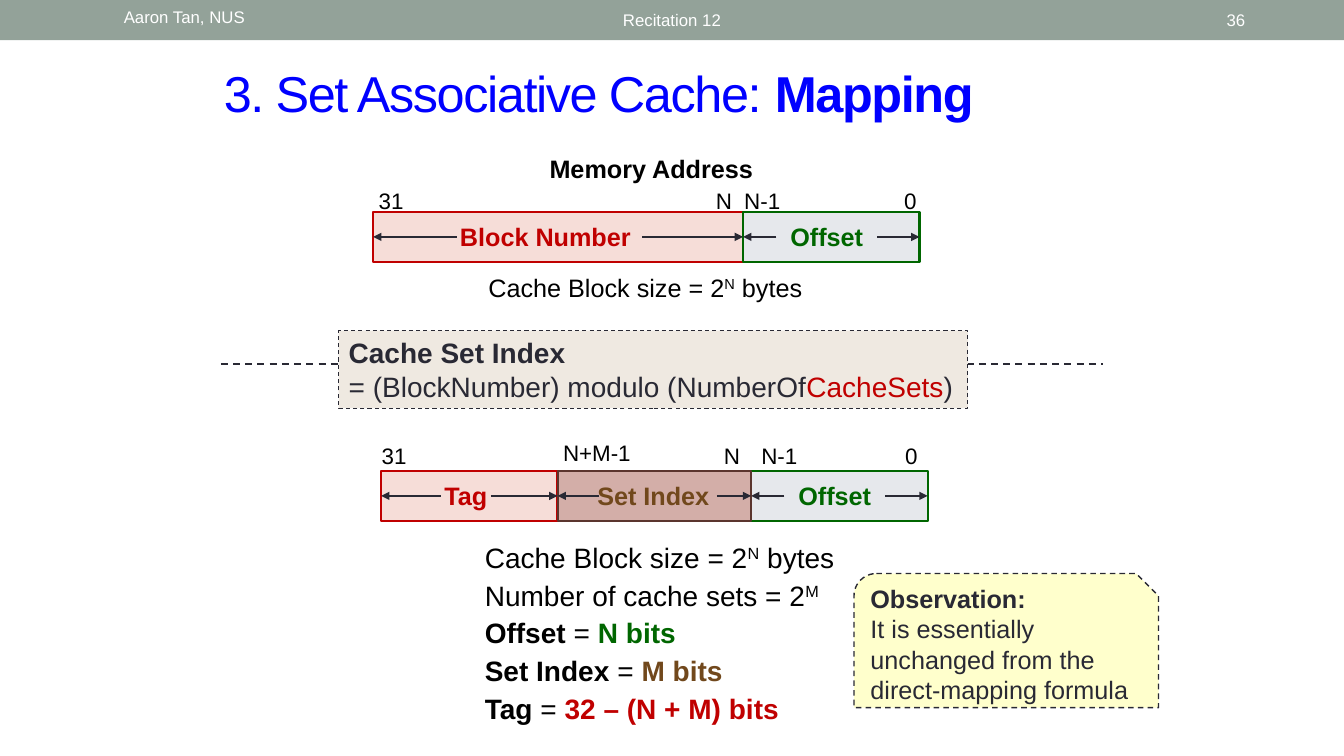
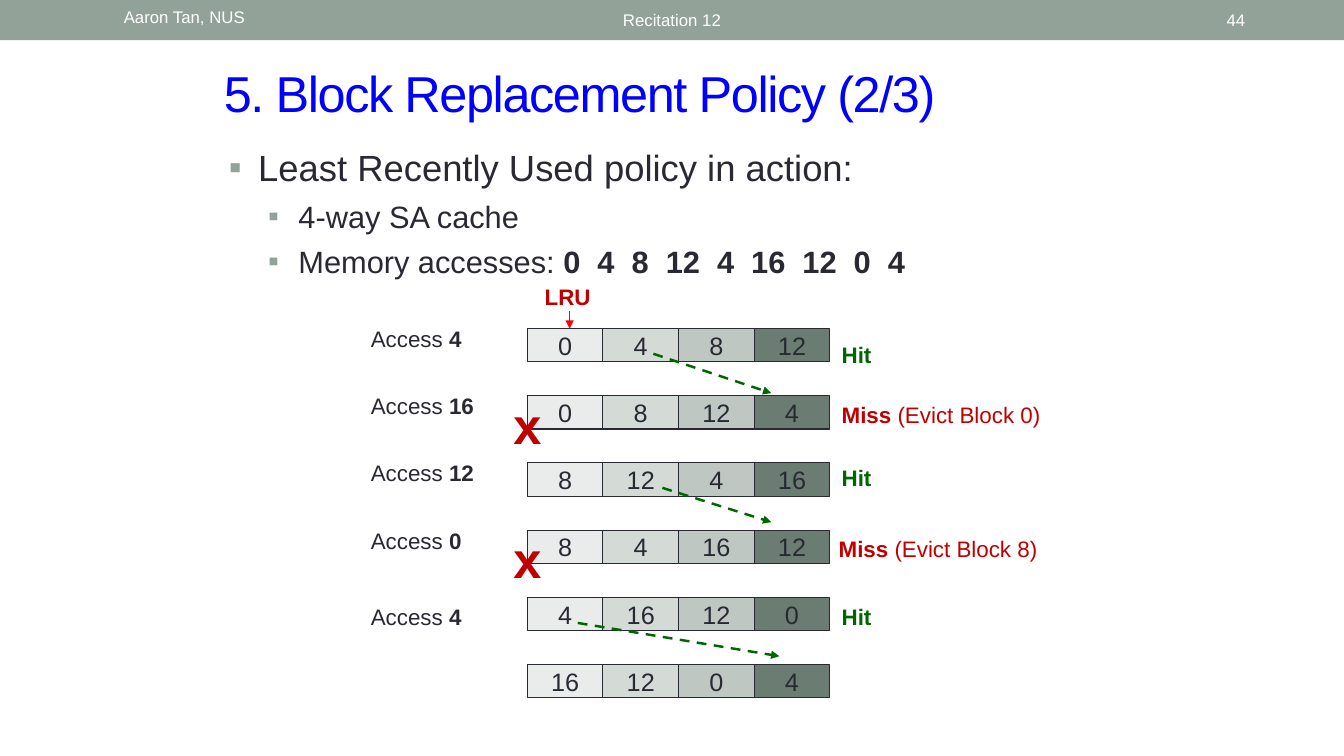
from lxml import etree
from pptx import Presentation
from pptx.dml.color import RGBColor
from pptx.enum.dml import MSO_LINE
from pptx.enum.shapes import MSO_CONNECTOR, MSO_SHAPE
from pptx.enum.text import MSO_ANCHOR, MSO_AUTO_SIZE, PP_ALIGN
from pptx.oxml.ns import qn
from pptx.util import Inches, Pt

LEFT, MID, RIGHT = PP_ALIGN.LEFT, PP_ALIGN.CENTER, PP_ALIGN.RIGHT
TOP, CORE = MSO_ANCHOR.TOP, MSO_ANCHOR.MIDDLE
RECT, SNIP = MSO_SHAPE.RECTANGLE, MSO_SHAPE.SNIP_ROUND_RECTANGLE
STRAIGHT, DASH, FIXED = MSO_CONNECTOR.STRAIGHT, MSO_LINE.DASH, MSO_AUTO_SIZE.NONE

HUES = {
    "band": "93A299", "title": "0000FF", "ink": "292934", "black": "000000",
    "white": "FFFFFF", "red": "C00000", "green": "006600", "brown": "71481C",
    "edge": "5B352E", "pink": "F6DDD8", "grey": "E6E8EC", "clay": "D3AEA8",
    "sand": "EFE9E1", "note": "FFFFCC", "arrow": "FF0000",
}
HUES = {name: RGBColor.from_string(code) for name, code in HUES.items()}
SHADES = [RGBColor.from_string(code) for code in ("E9ECEB", "D4DAD6", "BEC7C2", "6B7D72")]


def write(item, paras, size, hue="black", align=LEFT, anchor=TOP, bold=None, gap=0):
    frame = item.text_frame
    frame.auto_size = FIXED
    frame.word_wrap = align != MID
    frame.vertical_anchor = anchor
    for i, runs in enumerate(paras):
        para = frame.paragraphs[0] if i == 0 else frame.add_paragraph()
        para.alignment = align
        if i and gap:
            para.space_before = Pt(gap)
        para.font.name = "Arial"
        para.font.size = Pt(size)
        para.font.color.rgb = HUES[hue]
        para.font.bold = bold
        for text, *marks in runs:
            run = para.add_run()
            run.text = text
            for mark in marks:
                if mark == "bold":
                    run.font.bold = True
                elif mark == "super":
                    run.font._element.set("baseline", "30000")
                else:
                    run.font.color.rgb = HUES[mark]
    return item


def draw(slide, start, end, hue="ink", width=1, dash=None, arrow=True):
    line = slide.shapes.add_connector(STRAIGHT, *map(Inches, start + end))
    line.line.color.rgb = HUES[hue]
    line.line.width = Pt(width)
    line.line.dash_style = dash
    props = line.element.spPr
    if arrow:
        etree.SubElement(props.find(qn("a:ln")), qn("a:tailEnd"), type="triangle")
    etree.SubElement(props, qn("a:effectLst"))


prs = Presentation()
prs.slide_width = Inches(13.33)
prs.slide_height = Inches(7.5)

HEADS = [
    (5, "36", [("3. Set Associative Cache: ",), ("Mapping", "bold")]),
    (1, "44", [("5. Block Replacement Policy (2/3)",)]),
]
for layout, number, head in HEADS:
    slide = prs.slides.add_slide(prs.slide_layouts[layout])
    band = slide.shapes.add_shape(RECT, 0, 0, prs.slide_width, Inches(0.4))
    band.shadow.inherit = False
    band.fill.solid()
    band.fill.fore_color.rgb = HUES["band"]
    band.line.fill.background()

    title = slide.shapes.title
    title.left, title.top, title.width, title.height = map(Inches, (2.12, 0.57, 9.21, 0.7))
    write(title, [head], 36, "title", anchor=CORE)
    for run in title.text_frame.paragraphs[0].runs:
        run.font._element.set("spc", "-100")

    for left, width, text, align, anchor in [
        (1.13, 3.17, "Aaron Tan, NUS", LEFT, TOP),
        (3.02, 7.29, "Recitation 12", MID, CORE),
        (11.5, 0.95, number, RIGHT, CORE),
    ]:
        box = slide.shapes.add_textbox(*map(Inches, (left, 0.02, width, 0.36)))
        write(box, [[(text,)]], 12, "white", align, anchor)

cache, policy = prs.slides

BARS = [
    (2.1,
     [(3.88, 1.81, "31"), (7.18, 1.81, "N"), (7.56, 1.81, "N-1"), (9.03, 1.81, "0")],
     [(3.7, 7.37, 4.53, 6.37, 5.41, "Block Number", "pink", "red", "red"),
      (7.37, 9.12, 7.7, 8.7, 8.2, "Offset", "grey", "green", "green")]),
    (4.67,
     [(3.91, 4.34, "31"), (5.92, 4.31, "N+M-1"), (7.26, 4.34, "N"),
      (7.73, 4.34, "N-1"), (9.04, 4.34, "0")],
     [(3.78, 5.53, 4.37, 4.87, 4.62, "Tag", "pink", "red", "red"),
      (7.45, 9.2, 7.78, 8.78, 8.28, "Offset", "grey", "green", "green"),
      (5.53, 7.45, 5.94, 7.11, 6.48, "Set Index", "clay", "edge", "brown")]),
]
for top, ticks, fields in BARS:
    for mid, high, text in ticks:
        box = cache.shapes.add_textbox(*map(Inches, (mid - 0.45, high, 0.9, 0.37)))
        write(box, [[(text,)]], 16, align=MID)
    for left, right, near, far, mid, text, fill, edge, hue in fields:
        field = cache.shapes.add_shape(RECT, *map(Inches, (left, top, right - left, 0.5)))
        field.shadow.inherit = False
        field.fill.solid()
        field.fill.fore_color.rgb = HUES[fill]
        field.line.color.rgb = HUES[edge]
        field.line.width = Pt(1.5)
        draw(cache, (near, top + 0.25), (left, top + 0.25))
        draw(cache, (far, top + 0.25), (right, top + 0.25))
        box = cache.shapes.add_textbox(*map(Inches, (mid - 1, top + 0.05, 2, 0.4)))
        write(box, [[(text,)]], 18, hue, MID, bold=True)

block = [("Cache Block size = 2",), ("N", "super"), (" bytes",)]
box = cache.shapes.add_textbox(*map(Inches, (5.34, 1.47, 2.24, 0.4)))
write(box, [[("Memory Address",)]], 18, align=MID, bold=True)
box = cache.shapes.add_textbox(*map(Inches, (3.94, 2.65, 4.92, 0.4)))
write(box, [block], 18, align=MID)
box = cache.shapes.add_textbox(*map(Inches, (4.71, 5.31, 3.75, 1.92)))
write(box, [
    block,
    [("Number of cache sets = 2",), ("M", "super")],
    [("Offset", "bold"), (" = ",), ("N bits", "bold", "green")],
    [("Set Index", "bold"), (" = ",), ("M bits", "bold", "brown")],
    [("Tag", "bold"), (" = ",), ("32 – (N + M) bits", "bold", "red")],
], 20, gap=3)

draw(cache, (2.19, 3.61), (10.94, 3.61), width=1.25, dash=DASH, arrow=False)
CARDS = [
    (RECT, (3.36, 3.28, 6.24, 0.77), "sand", 0.75, 20, TOP, [
        [("Cache Set Index", "bold")],
        [("= (BlockNumber) modulo (NumberOf",), ("CacheSets", "red"), (")",)]]),
    (SNIP, (8.47, 5.69, 3.02, 1.33), "note", 1, 18, CORE, [
        [("Observation:", "bold")],
        [("It is essentially unchanged from the direct-mapping formula",)]]),
]
for kind, place, fill, width, size, anchor, paras in CARDS:
    card = cache.shapes.add_shape(kind, *map(Inches, place))
    card.shadow.inherit = False
    card.fill.solid()
    card.fill.fore_color.rgb = HUES[fill]
    card.line.color.rgb = HUES["ink"]
    card.line.width = Pt(width)
    card.line.dash_style = DASH
    write(card, paras, size, "ink", anchor=anchor)

body = policy.placeholders[1]
body.left, body.top, body.width, body.height = map(Inches, (2.17, 1.39, 8.42, 1.64))
ITEMS = [
    (0, 26, 0.29, 0.29, [("Least Recently Used policy in action:",)]),
    (1, 22, 0.69, 0.3, [("4-way SA cache",)]),
    (1, 22, 0.69, 0.3, [("Memory accesses: ",), ("0  4  8  12  4  16  12  0  4", "bold")]),
]
write(body, [item[-1] for item in ITEMS], 22, "ink")
for i, (level, size, margin, hang, runs) in enumerate(ITEMS):
    para = body.text_frame.paragraphs[i]
    para.level = level
    props = para._p.get_or_add_pPr()
    props.set("marL", str(Inches(margin)))
    props.set("indent", str(-Inches(hang)))
    tint = etree.Element(qn("a:buClr"))
    etree.SubElement(tint, qn("a:srgbClr"), val=str(HUES["band"]))
    face = etree.Element(qn("a:buFont"), typeface="Arial")
    mark = etree.Element(qn("a:buChar"), char="▪")
    for spot, part in enumerate((tint, face, mark)):
        props.insert(spot, part)
    para.space_before = Pt(6 if i else 0)
    para.font.size = Pt(size)

ROWS = [(0, 4, 8, 12), (0, 8, 12, 4), (8, 12, 4, 16),
        (8, 4, 16, 12), (4, 16, 12, 0), (16, 12, 0, 4)]
for row, blocks in enumerate(ROWS):
    for col, value in enumerate(blocks):
        place = (5.23 + 0.75 * col, 3.26 + row * 2 / 3, 0.75, 0.33)
        cell = policy.shapes.add_shape(RECT, *map(Inches, place))
        cell.shadow.inherit = False
        cell.fill.solid()
        cell.fill.fore_color.rgb = SHADES[col]
        cell.line.color.rgb = HUES["ink"]
        cell.line.width = Pt(0.75)
        write(cell, [[(str(value),)]], 18, "ink", MID, CORE)

hit = [("Hit", "bold")]
STEPS = [
    (3.18, "4", 8.25, 3.34, "green", hit),
    (3.84, "16", 8.25, 3.93, "red", [("Miss ", "bold"), ("(Evict Block 0)",)]),
    (4.51, "12", 8.25, 4.56, "green", hit),
    (5.18, "0", 8.22, 5.26, "red", [("Miss ", "bold"), ("(Evict Block 8)",)]),
    (5.93, "4", 8.25, 5.93, "green", hit),
]
for top, value, left, high, hue, result in STEPS:
    box = policy.shapes.add_textbox(*map(Inches, (3.58, top, 1.4, 0.37)))
    write(box, [[("Access ",), (value, "bold")]], 16, "ink")
    box = policy.shapes.add_textbox(*map(Inches, (left, high, 2.7, 0.37)))
    write(box, [result], 16, hue)

box = policy.shapes.add_textbox(*map(Inches, (5.3, 2.76, 0.66, 0.37)))
write(box, [[("LRU",)]], 16, "red", MID, bold=True)
draw(policy, (5.65, 3.09), (5.65, 3.26), "arrow", 0.75)
for top in (4.07, 5.4):
    box = policy.shapes.add_textbox(*map(Inches, (4.98, top, 0.5, 0.28)))
    write(box, [[("x",)]], 36, "red", MID, CORE, True)
for start, end in [((6.48, 3.51), (7.65, 3.9)), ((6.57, 4.84), (7.65, 5.18)),
                   ((5.73, 6.18), (7.73, 6.51))]:
    draw(policy, start, end, "green", 1.75, DASH)

prs.save("out.pptx")
